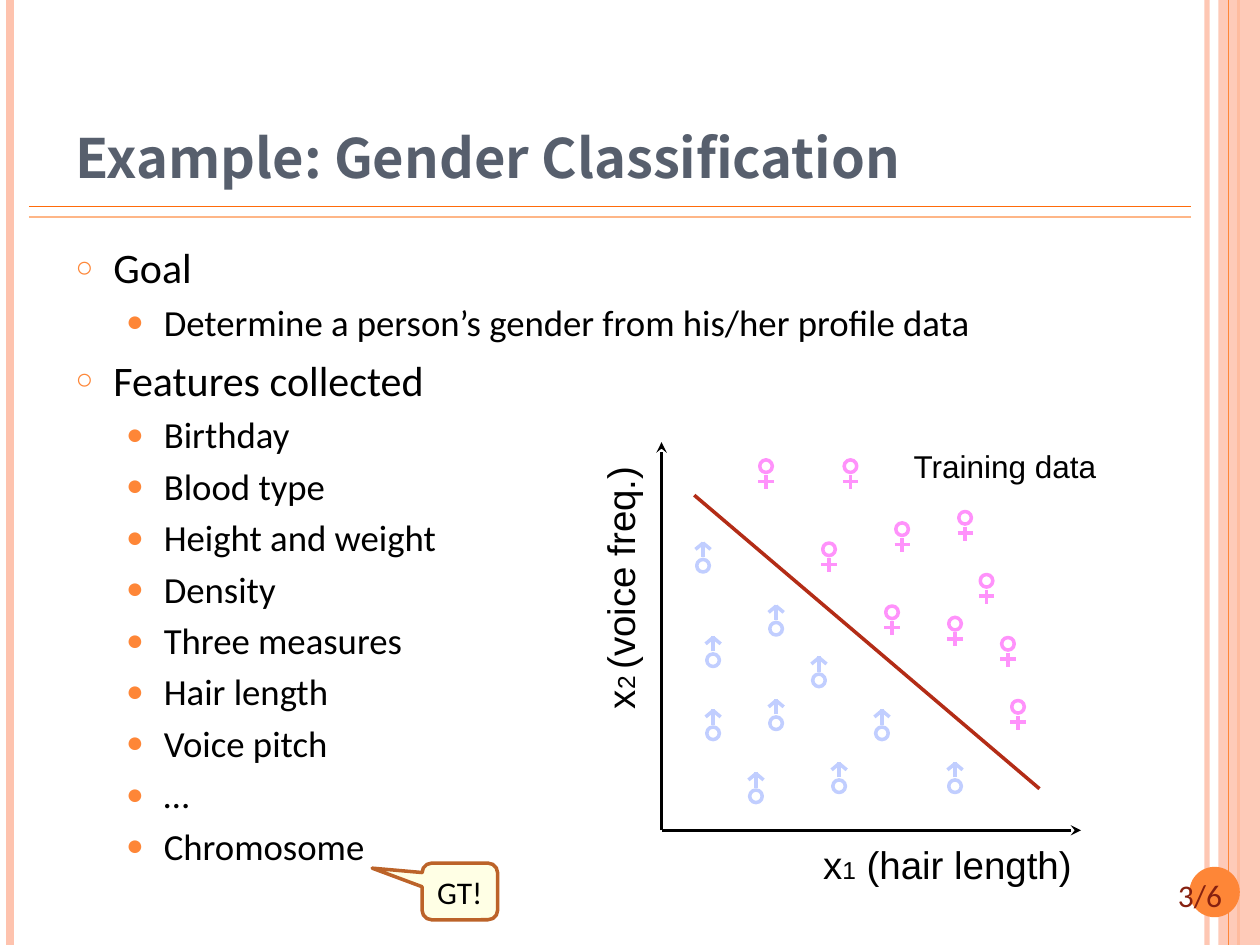
from lxml import etree
from pptx import Presentation
from pptx.dml.color import RGBColor
from pptx.enum.shapes import MSO_CONNECTOR, MSO_SHAPE
from pptx.enum.text import MSO_ANCHOR, MSO_AUTO_SIZE, PP_ALIGN
from pptx.oxml.ns import qn
from pptx.util import Inches, Pt

STRAIGHT = MSO_CONNECTOR.STRAIGHT
OVAL, RECTANGLE = MSO_SHAPE.OVAL, MSO_SHAPE.RECTANGLE
CALLOUT = MSO_SHAPE.ROUNDED_RECTANGULAR_CALLOUT
LEFT, CENTER, RIGHT = PP_ALIGN.LEFT, PP_ALIGN.CENTER, PP_ALIGN.RIGHT
TOP, MIDDLE, BOTTOM = MSO_ANCHOR.TOP, MSO_ANCHOR.MIDDLE, MSO_ANCHOR.BOTTOM
NO_AUTOFIT = MSO_AUTO_SIZE.NONE

COLORS = {
    "black": "000000", "title": "575F6D", "number": "862110",
    "orange": "FE8637", "bright": "FF6B0A", "pale": "FEB687", "peach": "FEC3AE",
    "female": "FF92FB", "male": "C1CEFF", "boundary": "B32C16",
    "note": "FFFFCC", "note_line": "BC6329",
}


class SlideBuilder:
    def __init__(self, slide):
        self.slide = slide

    def color(self, name):
        return RGBColor.from_string(COLORS[name])

    def set_alpha(self, properties, alpha):
        for color in properties.iter(qn("a:srgbClr")):
            etree.SubElement(color, qn("a:alpha"), val=str(alpha * 1000))

    def add_text(self, paragraph, text, size, font="Calibri", color="black", bold=False):
        run = paragraph.add_run()
        run.text = text
        run.font.size = Pt(size)
        run.font.name = font
        run.font.bold = bold
        run.font.color.rgb = self.color(color)
        for tag in ("a:ea", "a:cs"):
            etree.SubElement(run.font._element, qn(tag), typeface=font)

    def place(self, shape, left, top, width, height):
        shape.left, shape.top = Inches(left), Inches(top)
        shape.width, shape.height = Inches(width), Inches(height)

    def line(self, x1, y1, x2, y2, color, width=2, arrow=False, alpha=None):
        connector = self.slide.shapes.add_connector(
            STRAIGHT, Inches(x1), Inches(y1), Inches(x2), Inches(y2))
        connector.line.color.rgb = self.color(color)
        connector.line.width = Pt(width)
        properties = connector._element.spPr
        if alpha:
            self.set_alpha(properties, alpha)
        if arrow:
            etree.SubElement(properties.find(qn("a:ln")), qn("a:tailEnd"), type="stealth")
        etree.SubElement(properties, qn("a:effectLst"))

    def shape(self, kind, left, top, width, height, fill=None, line=None, alpha=None):
        shape = self.slide.shapes.add_shape(
            kind, Inches(left), Inches(top), Inches(width), Inches(height))
        shape.shadow.inherit = False
        if fill:
            shape.fill.solid()
            shape.fill.fore_color.rgb = self.color(fill)
            if alpha:
                self.set_alpha(shape._element.spPr, alpha)
        else:
            shape.fill.background()
        if line:
            shape.line.color.rgb = self.color(line)
            shape.line.width = Pt(2)
        else:
            shape.line.fill.background()
        return shape

    def text(self, left, top, width, height, runs, align=LEFT, rotation=0,
             spacing=None, before=0, **style):
        box = self.slide.shapes.add_textbox(
            Inches(left), Inches(top), Inches(width), Inches(height))
        box.rotation = rotation
        box.text_frame.word_wrap = False
        paragraph = box.text_frame.paragraphs[0]
        paragraph.alignment = align
        paragraph.line_spacing = spacing
        paragraph.space_before = Pt(before)
        for text, size in runs:
            self.add_text(paragraph, text, size, **style)

    def title(self, text):
        title = self.slide.shapes.title
        self.place(title, 0.5, 0.3, 8.17, 1.25)
        frame = title.text_frame
        frame.vertical_anchor = BOTTOM
        frame.auto_size = NO_AUTOFIT
        frame.paragraphs[0].alignment = LEFT
        self.add_text(frame.paragraphs[0], text, 31, "Noto Sans CJK SC", "title", True)

    def bullet(self, paragraph, character, indent, size):
        properties = paragraph._p.get_or_add_pPr()
        properties.set("marL", str(Inches(indent)))
        properties.set("indent", str(Inches(-0.3)))
        color = etree.SubElement(properties, qn("a:buClr"))
        etree.SubElement(color, qn("a:srgbClr"), val=COLORS["orange"])
        etree.SubElement(properties, qn("a:buSzPct"), val=str(size * 1000))
        etree.SubElement(properties, qn("a:buFont"), typeface="Arial")
        etree.SubElement(properties, qn("a:buChar"), char=character)

    def outline(self, items):
        body = self.slide.placeholders[1]
        self.place(body, 0.5, 1.87, 8.17, 5.21)
        frame = body.text_frame
        frame.vertical_anchor = TOP
        frame.auto_size = NO_AUTOFIT
        for index, (level, text) in enumerate(items):
            paragraph = frame.add_paragraph() if index else frame.paragraphs[0]
            paragraph.level = level
            if level:
                self.bullet(paragraph, "●", 0.7, 80)
                self.add_text(paragraph, text, 21)
            else:
                paragraph.space_before = Pt(6)
                self.bullet(paragraph, "○", 0.3, 70)
                self.add_text(paragraph, text, 24)

    def ring(self, x, y, color):
        self.shape(OVAL, x - 0.05, y, 0.1, 0.1, line=color)

    def female(self, x, y):
        self.ring(x, y, "female")
        self.line(x - 0.06, y + 0.17, x + 0.06, y + 0.17, "female")
        self.line(x, y + 0.12, x, y + 0.23, "female")

    def male(self, x, y):
        self.ring(x, y, "male")
        self.line(x, y - 0.02, x, y - 0.14, "male")
        for side in (-0.06, 0.06):
            self.line(x, y - 0.13, x + side, y - 0.08, "male")

    def callout(self, text):
        callout = self.shape(CALLOUT, 3.35, 6.85, 0.6, 0.45, "note", "note_line", 50)
        for index, value in enumerate((-1.16, -0.41, 0.17)):
            callout.adjustments[index] = value
        frame = callout.text_frame
        frame.word_wrap = False
        frame.vertical_anchor = MIDDLE
        frame.paragraphs[0].alignment = CENTER
        self.add_text(frame.paragraphs[0], text, 18)


presentation = Presentation()
presentation.slide_width, presentation.slide_height = Inches(10), Inches(7.5)
builder = SlideBuilder(presentation.slides.add_slide(presentation.slide_layouts[1]))

builder.line(9.58, 0, 9.58, 7.5, "peach", 3, alpha=93)
builder.line(0.08, 0, 0.08, 7.5, "peach", 4.5)
builder.line(9.83, 0, 9.83, 7.5, "orange", 1.5)
builder.shape(RECTANGLE, 9.67, 0, 0.33, 7.5, "peach", alpha=87)
builder.line(9.75, 0, 9.75, 7.5, "orange", 0.75)
builder.line(0.23, 1.64, 9.45, 1.64, "bright", 1)
builder.line(0.23, 1.72, 9.45, 1.72, "pale", 1)
builder.shape(OVAL, 9.44, 6.88, 0.4, 0.4, "orange")
builder.text(9.25, 6.9, 0.91, 0.4, [("3/6", 18)], color="number")

builder.title("Example: Gender Classification")
features = ["Birthday", "Blood type", "Height and weight", "Density", "Three measures",
            "Hair length", "Voice pitch", "…", "Chromosome"]
builder.outline([
    (0, "Goal"),
    (1, "Determine a person’s gender from his/her profile data"),
    (0, "Features collected"),
    *((1, feature) for feature in features),
])

builder.text(7.13, 3.5, 1.67, 0.4, [("Training data", 18)], RIGHT, font="Arial")
builder.line(5.25, 6.59, 8.58, 6.59, "black", arrow=True)
builder.line(5.25, 6.59, 5.25, 3.51, "black", arrow=True)
axis_style = {"align": CENTER, "spacing": 0.65, "before": 6.6, "font": "Arial"}
builder.text(6.42, 6.74, 2.2, 0.35,
             [("x", 22), ("1", 14), (" (hair length)", 22)], **axis_style)
builder.text(3.9, 4.49, 2.15, 0.35,
             [("x", 22), ("2 ", 14), ("(voice freq.)", 22)], rotation=270, **axis_style)

females = [(6.75, 3.65), (7.16, 4.15), (7.83, 4.56), (7.08, 4.81), (7.58, 4.9),
           (6.58, 4.31), (8.08, 5.56), (7.66, 4.06), (8, 5.06), (6.08, 3.65)]
males = [(5.66, 5.19), (6.16, 5.69), (6.5, 5.35), (6.66, 6.19), (7, 5.77),
         (6, 6.27), (7.58, 6.19), (6.16, 4.94), (5.66, 5.77), (5.58, 4.44)]
for x, y in females:
    builder.female(x, y)
for x, y in males:
    builder.male(x, y)
builder.line(5.51, 3.93, 8.25, 6.26, "boundary")
builder.callout("GT!")

presentation.save("out.pptx")
